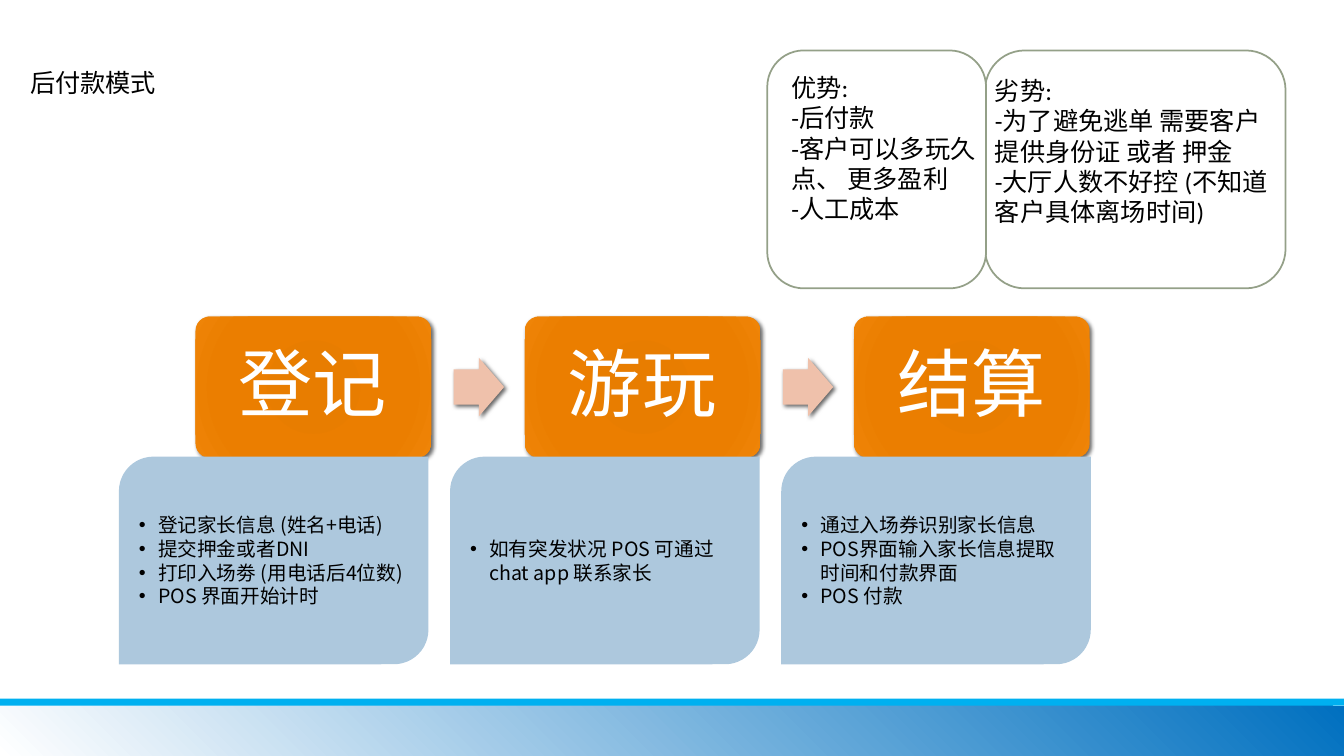
from lxml import etree
from pptx import Presentation
from pptx import util as u
from pptx.dml.color import RGBColor
from pptx.enum import shapes, text
from pptx.oxml import ns

WIDE, HIGH = 13.33, 7.5
KIND = shapes.MSO_SHAPE
LATIN, HAN = "Calibri", "Noto Sans CJK SC"
HUES = {
    "sky": "00B0F0", "blue": "0070C0", "white": "FFFFFF", "black": "000000",
    "pale": "ADC8DD", "peach": "EFC1AB", "sage": "94A088",
}
GLOW = [(0, "E57B00"), (34, "E87D00"), (70, "EB7E00"), (100, "EF8407")]

STEPS = [
    ("登记", ["登记家长信息 (姓名+电话)", "提交押金或者DNI",
            "打印入场劵 (用电话后4位数)", "POS 界面开始计时"]),
    ("游玩", ["如有突发状况 POS 可通过 chat app 联系家长"]),
    ("结算", ["通过入场券识别家长信息",
            "POS界面输入家长信息提取时间和付款界面", "POS 付款"]),
]
PROS = ["优势:", "-后付款", "-客户可以多玩久点、 更多盈利", "-人工成本"]
CONS = ["劣势:", "-为了避免逃单 需要客户提供身份证 或者 押金",
        "-大厅人数不好控 (不知道客户具体离场时间)"]


def color(name):
    return RGBColor.from_string(HUES[name])


def place(x, y, w, h):
    """Turn percentages of the slide's size into lengths."""
    return [u.Inches(part * size / 100)
            for part, size in zip((x, y, w, h), (WIDE, HIGH, WIDE, HIGH))]


def node(top, tag, **attrs):
    item = etree.SubElement(top, ns.qn("a:" + tag))
    for key, value in attrs.items():
        item.set(key, str(value))
    return item


def block(slide, kind, spot, fill, line=None):
    shape = slide.shapes.add_shape(kind, *place(*spot))
    shape.shadow.inherit = False
    shape.fill.solid()
    shape.fill.fore_color.rgb = color(fill)
    if line:
        shape.line.color.rgb = color(line)
        shape.line.width = u.Pt(1.25)
    else:
        shape.line.fill.background()
    return shape


def shade(shape):
    """Drop a soft shadow to the lower right."""
    effects = shape._element.spPr.find(ns.qn("a:effectLst"))
    drop = node(effects, "outerShdw", blurRad=u.Pt(3), dist=u.Pt(2),
                dir=45 * 60000, algn="tl", rotWithShape=0)
    node(node(drop, "srgbClr", val=HUES["black"]), "alpha", val=60000)


def glow(shape):
    """Fill with a round gradient centred on the lower right corner."""
    props = shape._element.spPr
    old = props.find(ns.qn("a:solidFill"))
    grad = etree.Element(ns.qn("a:gradFill"))
    stops = node(grad, "gsLst")
    for spot, hue in GLOW:
        node(node(stops, "gs", pos=spot * 1000), "srgbClr", val=hue)
    ring = {side: 100000 for side in "ltrb"}
    node(node(grad, "path", path="circle"), "fillToRect", **ring)
    props.replace(old, grad)


def write(frame, lines, size, hue="black", font=LATIN, bullet=False):
    frame.text = "\n".join(lines)
    for para in frame.paragraphs:
        para.alignment = text.PP_ALIGN.LEFT
        if bullet:
            props = para._p.get_or_add_pPr()
            props.set("marL", str(u.Inches(0.19)))
            props.set("indent", str(u.Inches(-0.19)))
            node(props, "buFont", typeface="Arial")
            node(props, "buChar", char="•")
        for run in para.runs:
            run.font.size = u.Pt(size)
            run.font.name = font
            run.font.color.rgb = color(hue)
            node(run._r.get_or_add_rPr(), "ea", typeface=HAN)


def label(slide, spot, lines, size=18, hue="black", wrap=True):
    frame = slide.shapes.add_textbox(*place(*spot)).text_frame
    frame.word_wrap = wrap
    frame.auto_size = text.MSO_AUTO_SIZE.SHAPE_TO_FIT_TEXT
    write(frame, lines, size, hue)
    return frame


def footer(slide):
    band = block(slide, KIND.RECTANGLE, (0, 93.33, 100, 6.67), "blue")
    band.fill.gradient()
    band.fill.gradient_angle = 225
    for stop, name, spot in zip(band.fill.gradient_stops,
                                ("blue", "white"), (0, 1)):
        stop.color.rgb = color(name)
        stop.position = spot
    block(slide, KIND.RECTANGLE, (0, 92.4, 100, 0.93), "sky")


def card(slide, left, title):
    spot = (left, 41.87, 17.55, 18.67)
    tile = block(slide, KIND.ROUNDED_RECTANGLE, spot, "white")
    tile.adjustments[0] = 0.1
    glow(tile)
    shade(tile)
    frame = label(slide, (left + 0.3, 42.4, 16.88, 17.6), [title], 53, "white")
    frame.auto_size = text.MSO_AUTO_SIZE.NONE
    frame.vertical_anchor = text.MSO_ANCHOR.MIDDLE
    frame.margin_left = frame.margin_right = u.Inches(0.22)
    frame.margin_top = frame.margin_bottom = u.Inches(0.22)
    para = frame.paragraphs[0]
    para.alignment = text.PP_ALIGN.CENTER
    para.line_spacing = 0.9
    node(node(para._p.get_or_add_pPr(), "spcAft"), "spcPct", val=35000)


def arrow(slide, left):
    spot = (left, 47.33, 3.75, 7.73)
    shape = block(slide, KIND.RIGHT_ARROW, spot, "peach")
    shape.adjustments[0] = 0.6
    shade(shape)


def detail(slide, left, lines):
    spot = (left, 60.4, 23.03, 27.47)
    shape = block(slide, KIND.ROUND_2_DIAG_RECTANGLE, spot, "pale")
    frame = shape.text_frame
    frame.word_wrap = True
    frame.vertical_anchor = text.MSO_ANCHOR.MIDDLE
    write(frame, lines, 14, font=HAN, bullet=True)


def main():
    deck = Presentation()
    deck.slide_width, deck.slide_height = u.Inches(WIDE), u.Inches(HIGH)
    slide = deck.slides.add_slide(deck.slide_layouts[6])

    # Footer and title
    footer(slide)
    label(slide, (1.5, 8.27, 10.95, 5.33), ["后付款模式"], wrap=False)

    # Three steps with arrows between them
    for step, (title, lines) in enumerate(STEPS):
        card(slide, 14.55 + step * 24.49, title)
        if step < len(STEPS) - 1:
            arrow(slide, 33.76 + step * 24.49)
        detail(slide, 8.85 + step * 24.64, lines)

    # Pros and cons
    for left, width in ((73.29, 22.36), (57.09, 16.28)):
        block(slide, KIND.ROUNDED_RECTANGLE, (left, 6.67, width, 31.47),
              "white", "sage")
    label(slide, (58.14, 8.93, 15.23, 21.6), PROS)
    label(slide, (73.29, 9.33, 22.96, 21.6), CONS)

    deck.save("out.pptx")


if __name__ == "__main__":
    main()
